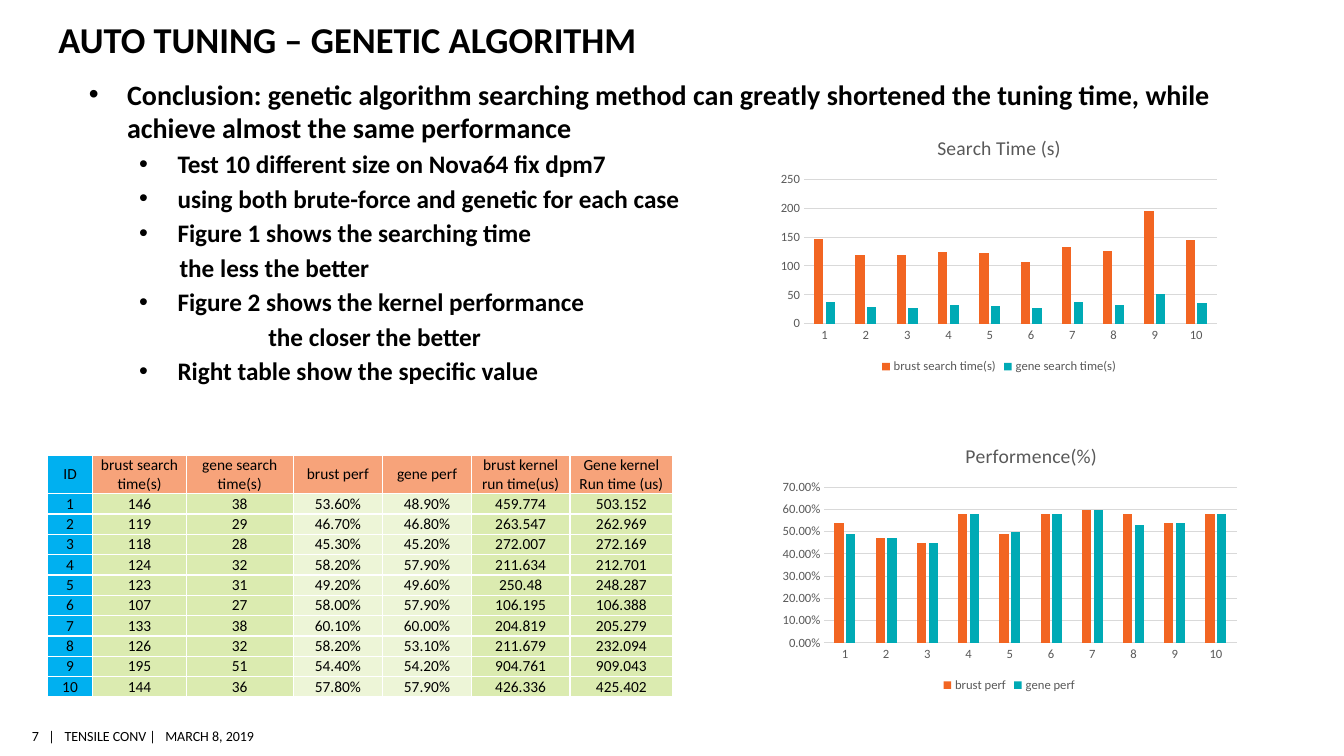
from lxml import etree
from pptx import Presentation
from pptx.chart.data import CategoryChartData
from pptx.dml.color import RGBColor
from pptx.enum.chart import XL_CHART_TYPE, XL_LEGEND_POSITION, XL_TICK_MARK
from pptx.enum.text import MSO_ANCHOR, MSO_AUTO_SIZE, PP_ALIGN
from pptx.oxml.ns import qn
from pptx.util import Emu, Inches, Pt

COLUMN = XL_CHART_TYPE.COLUMN_CLUSTERED
BOTTOM = XL_LEGEND_POSITION.BOTTOM
NO_TICK = XL_TICK_MARK.NONE
TOP, MIDDLE = MSO_ANCHOR.TOP, MSO_ANCHOR.MIDDLE
NO_FIT = MSO_AUTO_SIZE.NONE
LEFT, CENTER, RIGHT = PP_ALIGN.LEFT, PP_ALIGN.CENTER, PP_ALIGN.RIGHT


class Theme:
    font = "Calibri"
    ink, gray, grid, white = "000000", "595959", "D9D9D9", "FFFFFF"
    blue, peach, green, pale = "00B0F0", "F7A37A", "DBEBB0", "EDF5D7"
    bars = ("F26522", "00AAB5")
    title, lead, point, head, cell, foot, axis = 26, 20, 18, 14, 11, 10, 9


def style(font, size, color=Theme.ink, bold=False):
    font.name, font.size, font.bold = Theme.font, Pt(size), bold
    font.color.rgb = RGBColor.from_string(color)


deck = Presentation()
deck.slide_width, deck.slide_height = Inches(13.33), Inches(7.5)


def share(left, top, wide, high):
    """Turn percentages of the slide into a position and a size."""
    across, down = deck.slide_width / 100, deck.slide_height / 100
    return [Emu(round(n)) for n in (left * across, top * down, wide * across, high * down)]


slide = deck.slides.add_slide(deck.slide_layouts[1])

# Title
title = slide.shapes.title
title.left, title.top, title.width, title.height = share(3.6, 1.6, 92.95, 19.73)
frame = title.text_frame
frame.text = "AUTO TUNING – GENETIC ALGORITHM"
frame.vertical_anchor, frame.auto_size = TOP, NO_FIT
frame.paragraphs[0].alignment = LEFT
style(frame.paragraphs[0].runs[0].font, Theme.title, bold=True)

# Conclusion list: text, level, left margin, bullet
points = [
    ("Conclusion: genetic algorithm searching method can greatly shortened the tuning time, "
     "while achieve almost the same performance", 1, 0.79, True),
    ("Test 10 different size on Nova64 fix dpm7", 2, 1.29, True),
    ("using both brute-force and genetic for each case", 2, 1.29, True),
    ("Figure 1 shows the searching time", 2, 1.29, True),
    ("the less the better", 2, 1.31, False),
    ("Figure 2 shows the kernel performance", 2, 1.29, True),
    ("the closer the better", 2, 2.19, False),
    ("Right table show the specific value", 2, 1.29, True),
]
body = slide.placeholders[1]
body.left, body.top, body.width, body.height = share(3.53, 9.55, 90.25, 84.93)
frame = body.text_frame
frame.margin_left = frame.margin_right = 0
frame.auto_size = NO_FIT
frame.text = "\n".join(point[0] for point in points)
for para, (text, level, margin, dot) in zip(frame.paragraphs, points):
    para.level = level
    para.space_before = Pt(3)
    style(para.runs[0].font, Theme.lead if level == 1 else Theme.point, bold=True)
    props = para._p.get_or_add_pPr()
    props.set("marL", str(Inches(margin)))
    props.set("indent", str(Inches(-0.38 if dot else 0)))
    if dot:
        etree.SubElement(props, qn("a:buFont")).set("typeface", "Arial")
        etree.SubElement(props, qn("a:buChar")).set("char", "•")
    else:
        etree.SubElement(props, qn("a:buNone"))

# Measured results, one list per table column
ids = list(range(1, 11))
brute_time = [146, 119, 118, 124, 123, 107, 133, 126, 195, 144]
gene_time = [38, 29, 28, 32, 31, 27, 38, 32, 51, 36]
brute_perf = [0.536, 0.467, 0.453, 0.582, 0.492, 0.58, 0.601, 0.582, 0.544, 0.578]
gene_perf = [0.489, 0.468, 0.452, 0.579, 0.496, 0.579, 0.6, 0.531, 0.542, 0.579]
brute_run = [459.774, 263.547, 272.007, 211.634, 250.48,
             106.195, 204.819, 211.679, 904.761, 426.336]
gene_run = [503.152, 262.969, 272.169, 212.701, 248.287,
            106.388, 205.279, 232.094, 909.043, 425.402]

# Table columns: heading, values, number format, relative width, fill
columns = [
    ("ID", ids, "{}", 45, Theme.blue),
    ("brust search\ntime(s)", brute_time, "{}", 93, Theme.green),
    ("gene search\ntime(s)", gene_time, "{}", 106, Theme.green),
    ("brust perf", brute_perf, "{:.2%}", 89, Theme.pale),
    ("gene perf", gene_perf, "{:.2%}", 88, Theme.pale),
    ("brust kernel\nrun time(us)", brute_run, "{}", 98, Theme.green),
    ("Gene kernel\nRun time (us)", gene_run, "{}", 102, Theme.green),
]
spot = share(3.53, 60.27, 46.54, 31.87)
table = slide.shapes.add_table(len(ids) + 1, len(columns), *spot).table
table.first_row = table.horz_banding = False
total = sum(column[3] for column in columns)
rows = [37] + [20] * len(ids)
for row, high in zip(table.rows, rows):
    row.height = Emu(spot[3] * high // sum(rows))
for col, (name, values, form, wide, fill) in enumerate(columns):
    table.columns[col].width = Emu(spot[2] * wide // total)
    for row, text in enumerate([name] + [form.format(value) for value in values]):
        cell = table.cell(row, col)
        cell.text_frame.text = text
        cell.vertical_anchor = MIDDLE
        cell.margin_left = cell.margin_right = Inches(0.01)
        cell.margin_top = cell.margin_bottom = 0
        for para in cell.text_frame.paragraphs:
            para.alignment = CENTER
            style(para.runs[0].font, Theme.cell)
        # Borders precede the fill in the cell properties
        props = cell._tc.get_or_add_tcPr()
        for side in ("a:lnL", "a:lnR", "a:lnT", "a:lnB"):
            line = etree.SubElement(props, qn(side), w=str(Pt(1)))
            paint = etree.SubElement(line, qn("a:solidFill"))
            etree.SubElement(paint, qn("a:srgbClr"), val=Theme.white)
        cell.fill.solid()
        shade = Theme.peach if row == 0 and col else fill
        cell.fill.fore_color.rgb = RGBColor.from_string(shade)

# Charts: title, place, series, format, axis top, axis step, title spot, plot area
charts = [
    ("Search Time (s)", (57.46, 15.87, 33.76, 34.13),
     {"brust search time(s)": brute_time, "gene search time(s)": gene_time},
     "General", 250, 50, None, (0.07, 0.23, 0.91, 0.56)),
    ("Performence(%)", (57.46, 56.67, 35.26, 35.47),
     {"brust perf": brute_perf, "gene perf": gene_perf},
     "0.00%", 0.7, 0.1, (0.4, 0.04), (0.11, 0.22, 0.87, 0.58)),
]
for name, place, series, form, peak, step, head, area in charts:
    data = CategoryChartData(number_format=form)
    data.categories = [str(n) for n in ids]
    for label, values in series.items():
        data.add_series(label, [round(value, 2) for value in values])
    chart = slide.shapes.add_chart(COLUMN, *share(*place), data).chart
    style(chart.font, Theme.foot)
    chart.has_title = True
    chart.chart_title.text_frame.text = name
    chart.chart_title.include_in_layout = False
    style(chart.chart_title.text_frame.paragraphs[0].runs[0].font, Theme.head, Theme.gray)
    chart.has_legend = True
    chart.legend.position, chart.legend.include_in_layout = BOTTOM, False
    style(chart.legend.font, Theme.axis, Theme.gray)

    # Bars
    plot = chart.plots[0]
    plot.vary_by_categories = False
    plot.gap_width, plot.overlap = 219, -27
    for bar, color in zip(plot.series, Theme.bars):
        bar.format.fill.solid()
        bar.format.fill.fore_color.rgb = RGBColor.from_string(color)

    # Axes
    for axis in (chart.category_axis, chart.value_axis):
        axis.major_tick_mark = axis.minor_tick_mark = NO_TICK
        style(axis.tick_labels.font, Theme.axis, Theme.gray)
    scale = chart.value_axis
    scale.minimum_scale, scale.maximum_scale, scale.major_unit = 0, peak, step
    scale.tick_labels.number_format = form
    scale.tick_labels.number_format_is_linked = False
    scale.format.line.fill.background()
    for line in (chart.category_axis.format.line, scale.major_gridlines.format.line):
        line.width = Pt(0.75)
        line.color.rgb = RGBColor.from_string(Theme.grid)

    # Fixed inner plot area, and title spot where one is given
    root = chart._chartSpace.chart
    pins = [(root.plotArea, 0, {"layoutTarget": "inner"}, area)]
    if head:
        pins.append((root.find(qn("c:title")), 1, {}, head))
    for zone, index, marks, shares in pins:
        for old in zone.findall(qn("c:layout")):
            zone.remove(old)
        layout = etree.Element(qn("c:layout"))
        zone.insert(index, layout)
        manual = etree.SubElement(layout, qn("c:manualLayout"))
        marks = {**marks, "xMode": "edge", "yMode": "edge", **dict(zip("xywh", shares))}
        for tag, value in marks.items():
            etree.SubElement(manual, qn("c:" + tag), val=str(value))

# Footer: page number, then the line with tab stops
notes = [
    ("7", (1.7, 95.63, 1.2, 3.47), RIGHT, ()),
    ("|\tTENSILE CONV |\tMARCH 8, 2019", (3.6, 95.63, 18.15, 3.47), LEFT, (0.16, 1.16)),
]
for text, place, align, stops in notes:
    frame = slide.shapes.add_textbox(*share(*place)).text_frame
    frame.text = text
    frame.word_wrap, frame.vertical_anchor = True, MIDDLE
    frame.margin_left = frame.margin_right = 0
    frame.margin_top = frame.margin_bottom = Inches(0.04)
    para = frame.paragraphs[0]
    para.alignment = align
    style(para.runs[0].font, Theme.foot)
    if stops:
        tabs = etree.SubElement(para._p.get_or_add_pPr(), qn("a:tabLst"))
        for stop in stops:
            etree.SubElement(tabs, qn("a:tab"), pos=str(Inches(stop)), algn="l")

deck.save("out.pptx")
